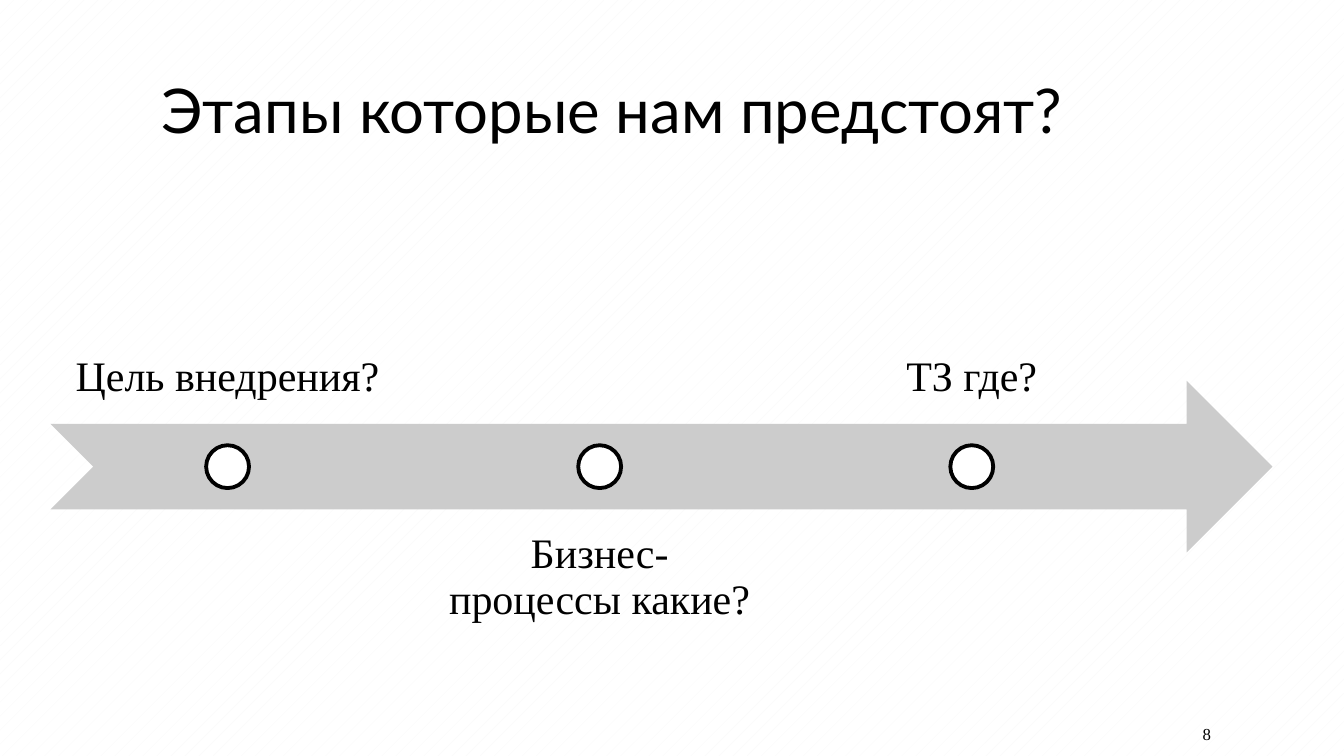
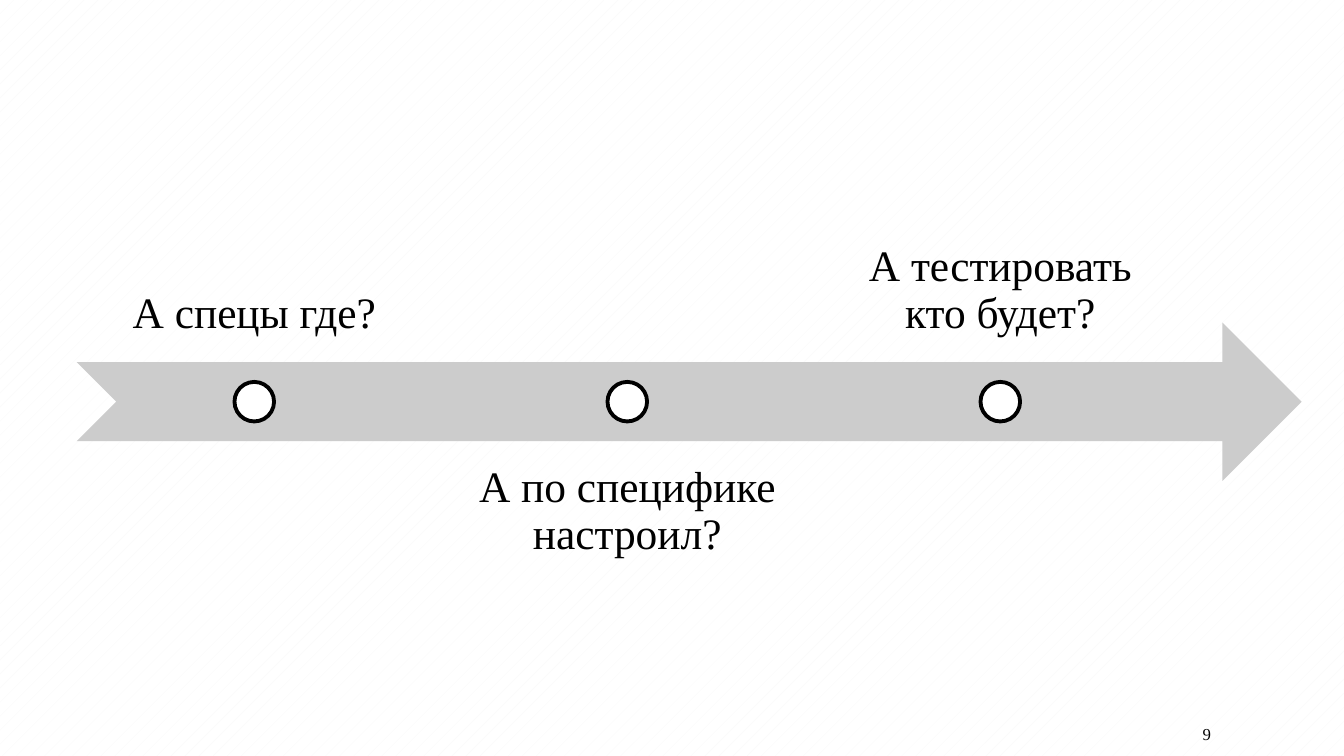
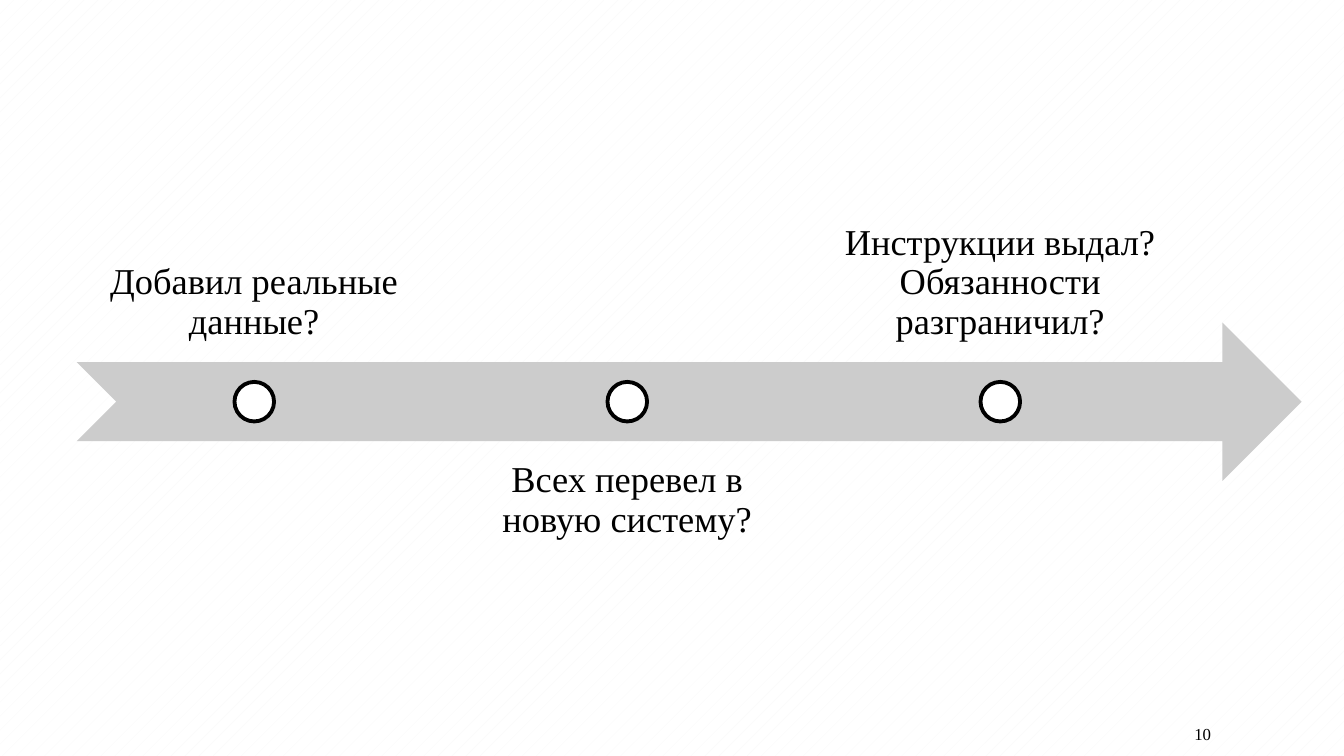
"""Builds three timeline slides about the stages of a system rollout."""
from pptx import Presentation
from pptx.dml.color import RGBColor
from pptx.enum.dml import MSO_PATTERN
from pptx.enum.shapes import MSO_SHAPE
from pptx.enum.text import MSO_ANCHOR, MSO_AUTO_SIZE, PP_ALIGN
from pptx.util import Inches, Pt

COLORS = {"text": "000000", "arrow": "CCCCCC", "dot": "FFFFFF",
          "paper": "FFFFFF", "hatch": "F8F8F8"}
TITLE_FONT, BODY_FONT = "Lato", "Times New Roman"
LOW_ARROW, HIGH_ARROW = (0.5, 3.78, 12.12, 1.7), (0.76, 3.2, 12.15, 1.57)

SLIDES = [
    {"number": 8, "title": "Этапы которые нам предстоят?",
     "arrow": LOW_ARROW, "size": 30, "inset": 0.23,
     "stages": ["Цель внедрения?", "Бизнес-процессы какие?", "ТЗ где?"]},
    {"number": 9, "arrow": HIGH_ARROW, "size": 31, "inset": 0.24,
     "stages": ["А спецы где?", "А по специфике настроил?",
                "А тестировать кто будет?"]},
    {"number": 10, "arrow": HIGH_ARROW, "size": 26, "inset": 0.2,
     "stages": ["Добавил реальные данные?", "Всех перевел в новую систему?",
                "Инструкции выдал? Обязанности разграничил?"]},
]


def color(name):
    return RGBColor.from_string(COLORS[name])


def box(*lengths):
    return [Inches(v) for v in lengths]


def write(tf, text, size, align, anchor, font=BODY_FONT, spacing=1.0):
    tf.word_wrap = True
    tf.auto_size = MSO_AUTO_SIZE.NONE
    tf.vertical_anchor = anchor
    p = tf.paragraphs[0]
    p.alignment, p.line_spacing = align, spacing
    r = p.add_run()
    r.text = text
    r.font.name, r.font.size = font, Pt(size)
    r.font.color.rgb = color("text")


def add_shape(shapes, kind, bounds, fill, line=None):
    sp = shapes.add_shape(kind, *box(*bounds))
    sp.shadow.inherit = False
    sp.fill.solid()
    sp.fill.fore_color.rgb = color(fill)
    if line:
        sp.line.color.rgb = color(line)
        sp.line.width = Pt(2.75)
    else:
        sp.line.fill.background()


def add_title(s, text):
    sp = s.shapes.title
    sp.left, sp.top, sp.width, sp.height = box(1.5, 0.75, 10.5, 1.62)
    write(sp.text_frame, text, 44, PP_ALIGN.LEFT, MSO_ANCHOR.TOP,
          TITLE_FONT, 0.89)


def add_timeline(s, arrow, stages, size, inset):
    left, top, width, height = arrow
    label_width = width * 0.29
    dot = height / 4
    shapes = s.shapes.add_group_shape().shapes
    add_shape(shapes, MSO_SHAPE.NOTCHED_RIGHT_ARROW, arrow, "arrow")
    for i, stage in enumerate(stages):
        above = i % 2 == 0
        x = left + i * label_width * 1.05
        y = top + height * (-0.75 if above else 0.75)
        tf = shapes.add_textbox(*box(x, y, label_width, height)).text_frame
        tf.margin_left = tf.margin_right = Inches(inset)
        tf.margin_top = tf.margin_bottom = Inches(inset)
        write(tf, stage, size, PP_ALIGN.CENTER,
              MSO_ANCHOR.BOTTOM if above else MSO_ANCHOR.TOP, spacing=0.9)
        bounds = (x + (label_width - dot) / 2, top + (height - dot) / 2,
                  dot, dot)
        add_shape(shapes, MSO_SHAPE.OVAL, bounds, "dot", "text")


def add_number(s, number):
    sp = s.shapes.add_textbox(*box(10.36, 7.06, 1.75, 0.44))
    write(sp.text_frame, str(number), 12, PP_ALIGN.RIGHT, MSO_ANCHOR.MIDDLE)


def main():
    prs = Presentation()
    prs.slide_width, prs.slide_height = box(13.33, 7.5)
    fill = prs.slide_master.background.fill
    fill.patterned()
    fill.pattern = MSO_PATTERN.PERCENT_5
    fill.fore_color.rgb, fill.back_color.rgb = color("hatch"), color("paper")
    for data in SLIDES:
        title = data.get("title")
        s = prs.slides.add_slide(prs.slide_layouts[5 if title else 6])
        if title:
            add_title(s, title)
        add_timeline(s, data["arrow"], data["stages"], data["size"],
                     data["inset"])
        add_number(s, data["number"])
    prs.save("out.pptx")


if __name__ == "__main__":
    main()
